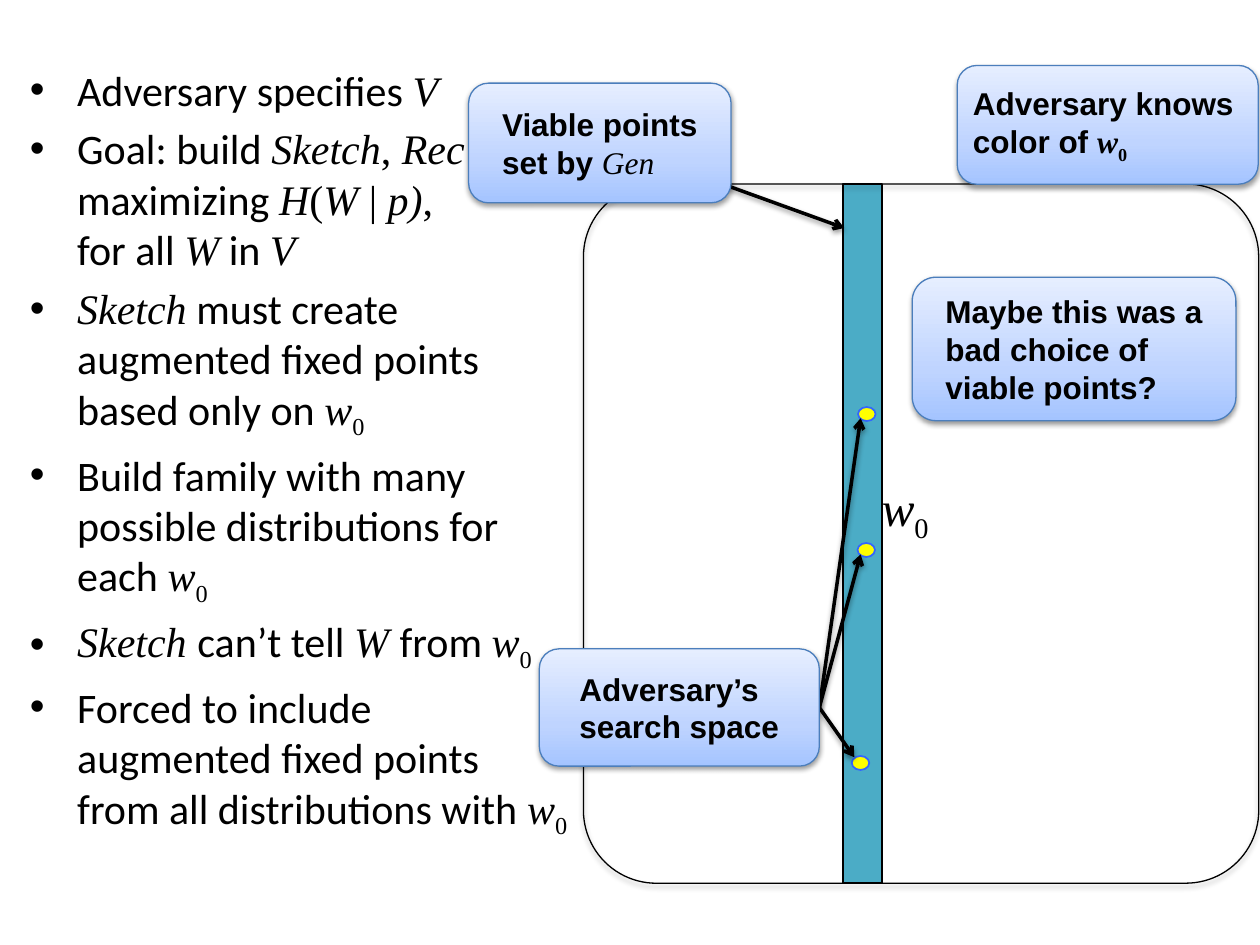
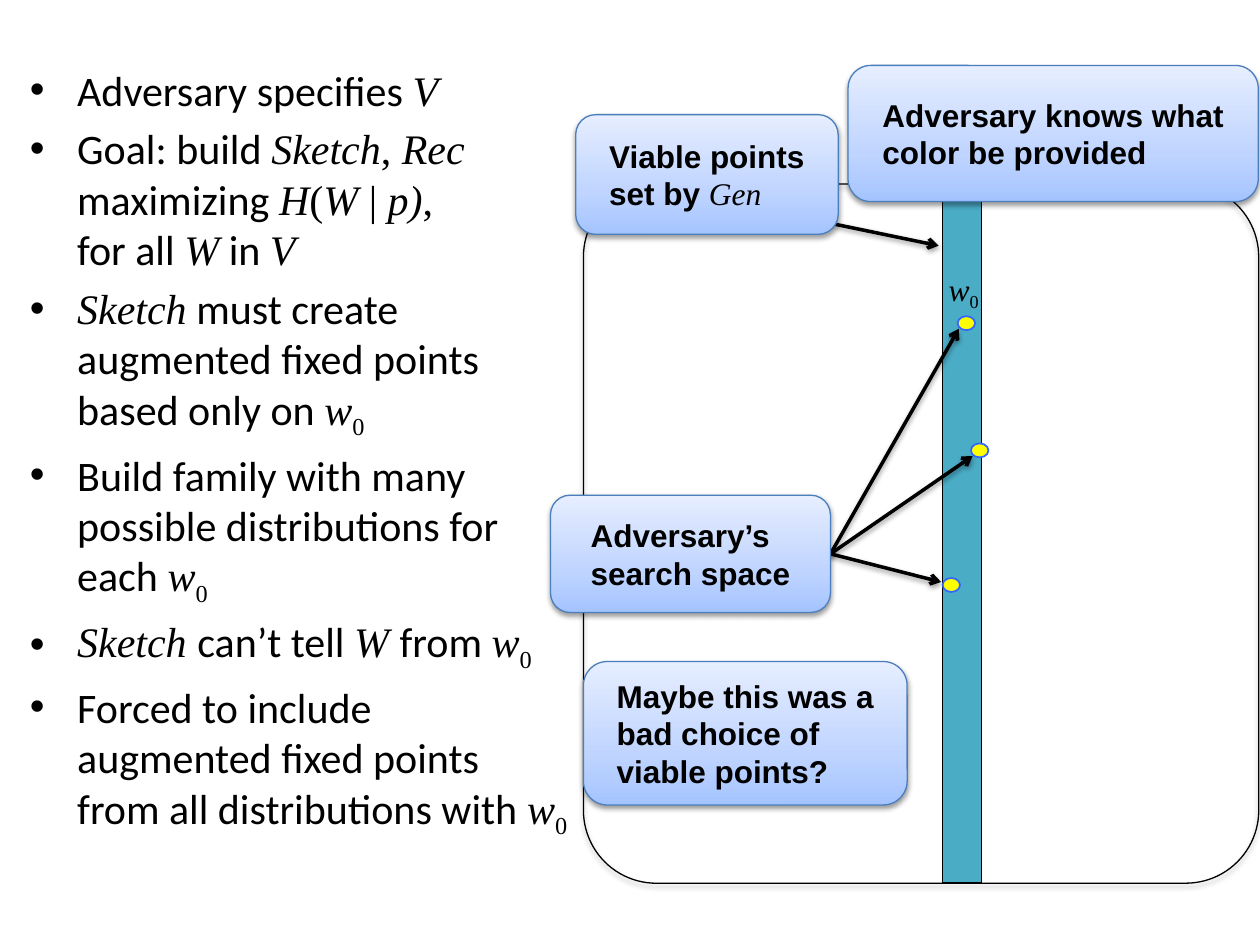
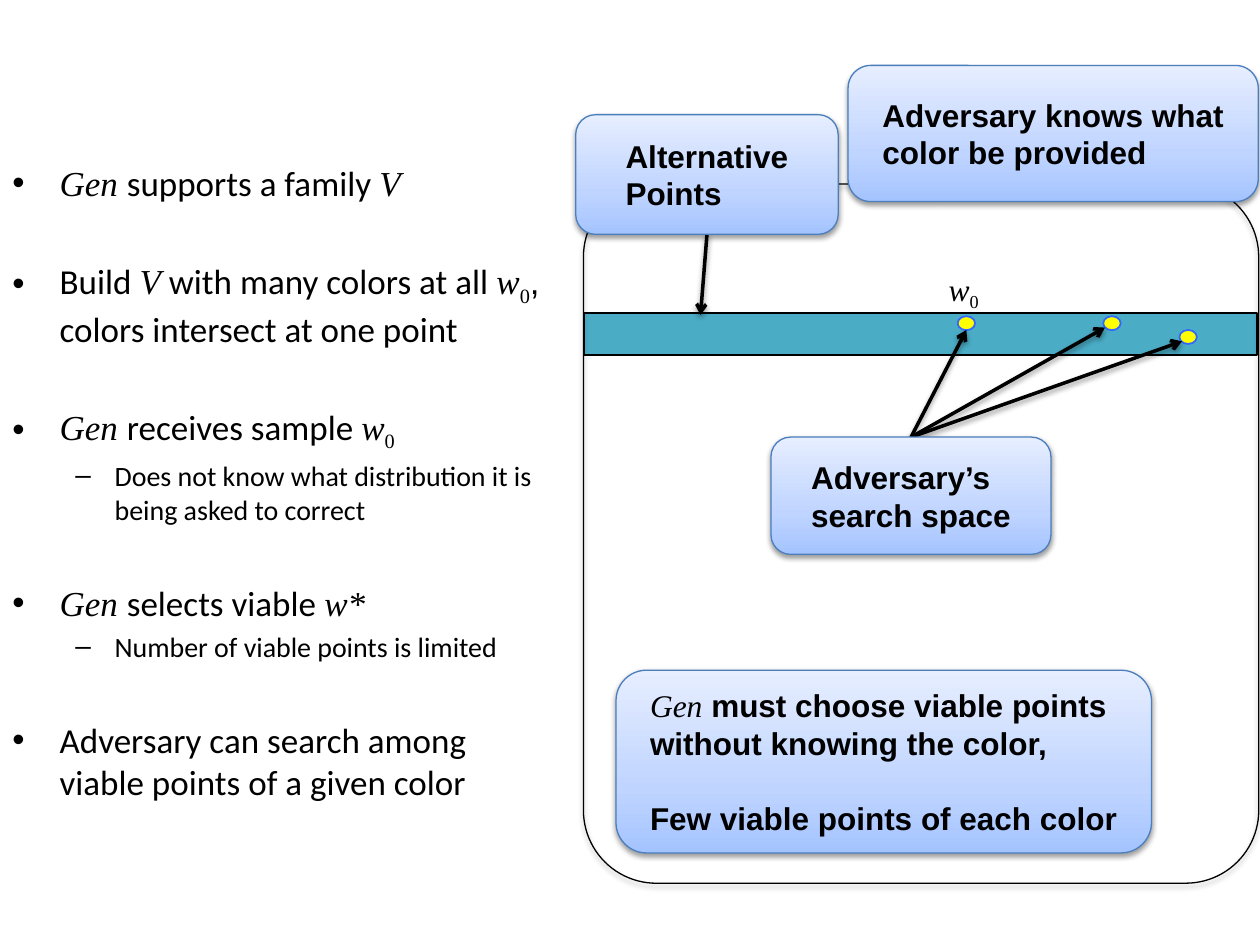
from copy import deepcopy
from dataclasses import dataclass
from typing import NamedTuple

from lxml.etree import SubElement
from pptx import Presentation
from pptx.dml.color import RGBColor
from pptx.enum.shapes import MSO_CONNECTOR as Link, MSO_SHAPE as Preset
from pptx.enum.text import MSO_ANCHOR as Anchor, MSO_AUTO_SIZE as AutoSize
from pptx.oxml.ns import qn
from pptx.util import Pt

BLACK = RGBColor(0x00, 0x00, 0x00)
TEAL = RGBColor(0x4B, 0xAC, 0xC6)
YELLOW = RGBColor(0xFF, 0xFF, 0x00)
DOT_EDGE = RGBColor(0x33, 0x66, 0xFF)
CALLOUT_EDGE = RGBColor(0x4B, 0x7E, 0xBC)
CALLOUT_STOPS = ((0, RGBColor(0xA4, 0xC4, 0xFF)), (0.35, RGBColor(0xBF, 0xD4, 0xFF)),
                 (1, RGBColor(0xE6, 0xEE, 0xFF)))

WORDS = {"name": "Calibri"}
PLAIN = {"name": "Arial"}
BOLD = {"name": "Arial", "bold": True}
ROMAN = {"name": "Times New Roman"}
MATH = {**ROMAN, "italic": True}
BOLD_ROMAN = {**ROMAN, "bold": True}
BOLD_MATH = {**MATH, "bold": True}


class Run(NamedTuple):
    text: str
    style: dict
    subscript: bool = False


class Box(NamedTuple):
    left: float
    top: float
    width: float
    height: float

    def right_middle(self):
        return self.left + self.width, self.top + self.height / 2

    def top_middle(self):
        return self.left + self.width / 2, self.top

    def bottom_middle(self):
        return self.left + self.width / 2, self.top + self.height


class Arrow(NamedTuple):
    start: tuple
    end: tuple


class Callout(NamedTuple):
    box: Box
    paragraphs: list
    gap: float = 0


class Bullet(NamedTuple):
    runs: list
    before: float
    size: float
    level: int = 0


@dataclass
class PointMap:
    """The drawing on the right: a band of viable points with searched dots and callouts."""
    band: Box
    dots: list
    arrows: list
    callouts: list
    sample_box: Box
    sample_size: float
    body_box: Box
    bullets: list


W0 = [Run("w", MATH), Run("0", ROMAN, True)]
BULLET_FORMS = (("•", 27, -27), ("–", 58.5, -22.5))
PANEL = Box(333.4, 105.1, 385.9, 399.6)
DOT_SIZE = (10, 8)


def write_runs(paragraph, runs: list, size: float) -> None:
    for text, style, subscript in runs:
        for number, line in enumerate(text.split("\n")):
            if number:
                paragraph.add_line_break()
            if not line:
                continue
            run = paragraph.add_run()
            run.text = line
            run.font.size = Pt(size)
            run.font.color.rgb = BLACK
            for attribute, value in style.items():
                setattr(run.font, attribute, value)
            if subscript:
                run._r.get_or_add_rPr().set("baseline", "-25000")


def paragraph_at(frame, index: int):
    return frame.add_paragraph() if index else frame.paragraphs[0]


def cast_shadow(shape, opacity: int, distance: float) -> None:
    properties = shape._element.spPr
    effects = properties.find(qn("a:effectLst"))
    if effects is None:
        effects = SubElement(properties, qn("a:effectLst"))
    shadow = SubElement(effects, qn("a:outerShdw"), blurRad=str(Pt(3.1)),
                        dist=str(Pt(distance)), dir="5400000", rotWithShape="0")
    color = SubElement(shadow, qn("a:srgbClr"), val=str(BLACK))
    SubElement(color, qn("a:alpha"), val=str(opacity * 1000))


def draw_shape(slide, preset, box: Box, fill, edge: RGBColor, weight: float):
    shape = slide.shapes.add_shape(preset, *map(Pt, box))
    shape.line.color.rgb = edge
    shape.line.width = Pt(weight)
    shape.shadow.inherit = False
    if fill is None:
        shape.fill.background()
    else:
        shape.fill.solid()
        shape.fill.fore_color.rgb = fill
    return shape


def draw_panel(slide) -> None:
    panel = draw_shape(slide, Preset.ROUNDED_RECTANGLE, PANEL, None, BLACK, 0.75)
    panel.adjustments[0] = 0.108
    cast_shadow(panel, 35, 1.8)


def draw_arrow(slide, arrow: Arrow) -> None:
    line = slide.shapes.add_connector(Link.STRAIGHT, *map(Pt, arrow.start + arrow.end))
    line.line.color.rgb = BLACK
    line.line.width = Pt(2)
    SubElement(line.line._get_or_add_ln(), qn("a:tailEnd"), type="arrow")
    cast_shadow(line, 38, 1.6)


def draw_callout(slide, callout: Callout) -> None:
    shape = draw_shape(slide, Preset.ROUNDED_RECTANGLE, callout.box, None, CALLOUT_EDGE, 0.75)
    shape.fill.gradient()
    shape.fill.gradient_angle = 90
    stop_list = shape._element.spPr.find(".//" + qn("a:gsLst"))
    stop_list.append(deepcopy(stop_list[-1]))
    for stop, (position, color) in zip(shape.fill.gradient_stops, CALLOUT_STOPS):
        stop.position = position
        stop.color.rgb = color
    cast_shadow(shape, 38, 1.6)

    frame = shape.text_frame
    frame.word_wrap = True
    frame.vertical_anchor = Anchor.MIDDLE
    for side in ("left", "right", "top", "bottom"):
        setattr(frame, f"margin_{side}", Pt(3.6))
    frame._txBody.bodyPr.set("anchorCtr", "1")
    for index, runs in enumerate(callout.paragraphs):
        paragraph = paragraph_at(frame, index)
        paragraph._p.get_or_add_pPr().set("algn", "l")
        if index:
            paragraph.space_before = Pt(callout.gap)
        write_runs(paragraph, runs, 18)


def draw_bullets(slide, box: Box, bullets: list) -> None:
    frame = slide.shapes.add_textbox(*map(Pt, box)).text_frame
    frame.word_wrap = True
    for index, bullet in enumerate(bullets):
        mark, margin, indent = BULLET_FORMS[bullet.level]
        paragraph = paragraph_at(frame, index)
        paragraph.level = bullet.level
        properties = paragraph._p.get_or_add_pPr()
        properties.set("marL", str(Pt(margin)))
        properties.set("indent", str(Pt(indent)))
        SubElement(properties, qn("a:buFont"), typeface="Arial")
        SubElement(properties, qn("a:buChar"), char=mark)
        if index:
            paragraph.space_before = Pt(bullet.before)
        write_runs(paragraph, bullet.runs, bullet.size)


def draw_sample_label(slide, box: Box, size: float) -> None:
    frame = slide.shapes.add_textbox(*map(Pt, box)).text_frame
    frame.word_wrap = False
    frame.auto_size = AutoSize.SHAPE_TO_FIT_TEXT
    write_runs(frame.paragraphs[0], W0, size)


def draw_point_map(slide, point_map: PointMap) -> None:
    draw_shape(slide, Preset.RECTANGLE, point_map.band, TEAL, BLACK, 1)
    for corner in point_map.dots:
        draw_shape(slide, Preset.OVAL, Box(*corner, *DOT_SIZE), YELLOW, DOT_EDGE, 1)
    draw_panel(slide)
    for arrow in point_map.arrows:
        draw_arrow(slide, arrow)
    for callout in point_map.callouts:
        draw_callout(slide, callout)
    draw_bullets(slide, point_map.body_box, point_map.bullets)
    draw_sample_label(slide, point_map.sample_box, point_map.sample_size)


def search_arrows(start: tuple, ends: list) -> list:
    return [Arrow(start, end) for end in ends]


def points_callout(left: float, top: float, runs: list) -> Callout:
    return Callout(Box(left, top, 150, 68.4), [runs])


def bad_choice_callout(left: float, top: float) -> Callout:
    return Callout(Box(left, top, 185, 82),
                   [[Run("Maybe this was a bad choice of viable points?", BOLD)]])


def search_callout(left: float, top: float) -> Callout:
    return Callout(Box(left, top, 160, 67), [[Run("Adversary’s search space", BOLD)]])


SET_BY_GEN = [Run("Viable points set by ", BOLD), Run("Gen", MATH)]
KNOWS_COLOR = Callout(Box(484.6, 37.4, 234.4, 77.8),
                      [[Run("Adversary knows what color be provided", BOLD)]])
SKETCH_BOX = Box(10, 33.1, 323.4, 484.6)
SMALL_SAMPLE_BOX = Box(535, 150.5, 35.3, 28.8)

SKETCH_BULLETS = [Bullet(runs, 4.8, 24) for runs in (
    [Run("Adversary specifies ", WORDS), Run("V", MATH)],
    [Run("Goal: build ", WORDS), Run("Sketch", MATH), Run(",", ROMAN), Run(" Rec", MATH),
     Run(" maximizing ", WORDS), Run("H", MATH), Run("(", ROMAN), Run("W", MATH),
     Run(" | ", ROMAN), Run("p)", MATH), Run(", \n", ROMAN), Run("for all ", WORDS),
     Run("W", MATH), Run(" in ", WORDS), Run("V", MATH)],
    [Run("Sketch", MATH),
     Run(" must create augmented fixed points based only on ", WORDS), *W0],
    [Run("Build family with many possible distributions for each ", WORDS), *W0],
    [Run("Sketch ", MATH), Run("can’t tell ", WORDS), Run("W ", MATH),
     Run("from ", WORDS), *W0],
    [Run("Forced to include augmented fixed points from all distributions with ", WORDS), *W0],
)]

GEN_BULLETS = [
    Bullet([Run("Gen ", MATH), Run("supports a family ", WORDS), Run("V", MATH)], 0, 20),
    Bullet([Run("Build ", WORDS), Run("V", MATH), Run(" with many colors at all ", WORDS), *W0,
            Run(",\n", PLAIN), Run("colors intersect at one point", WORDS)], 32, 20),
    Bullet([Run("Gen ", MATH), Run("receives sample ", WORDS), *W0], 32, 20),
    Bullet([Run("Does not know what distribution it is being asked to correct", WORDS)],
           3.2, 16, 1),
    Bullet([Run("Gen ", MATH), Run("selects viable ", WORDS), Run("w*", MATH)], 32, 20),
    Bullet([Run("Number of viable points is limited", WORDS)], 3.2, 16, 1),
    Bullet([Run("Adversary can search among viable points of a given color", WORDS)], 32, 20),
]

LOW_SEARCH = search_callout(308.2, 370.8)
MID_SEARCH = search_callout(314.6, 283)
INNER_SEARCH = search_callout(440.6, 249.8)
ALTERNATIVES = points_callout(329, 65.5, [Run("Alternative Points", BOLD)])

POINT_MAPS = [
    PointMap(
        band=Box(481.7, PANEL.top, 22.3, PANEL.height),
        dots=[(490.3, 232.6), (490, 310.3), (486.7, 432)],
        arrows=[Arrow((414.7, 105.8), (482.4, 130.3)),
                *search_arrows(LOW_SEARCH.box.right_middle(),
                               [(488.2, 432.7), (491.8, 316.8), (491.8, 239)])],
        callouts=[points_callout(267.8, 47.5, SET_BY_GEN),
                  Callout(Box(547, 37.4, 172, 67.9),
                          [[Run("Adversary knows \ncolor of ", BOLD), Run("w", BOLD_MATH),
                            Run("0", BOLD_ROMAN, True)]]),
                  bad_choice_callout(521.3, 158.4), LOW_SEARCH],
        sample_box=Box(496.8, 269.3, 46, 41), sample_size=28,
        body_box=SKETCH_BOX, bullets=SKETCH_BULLETS),
    PointMap(
        band=Box(538.6, PANEL.top, 22.3, PANEL.height),
        dots=[(538.6, 330.3), (554.8, 253.4), (547.2, 180.7)],
        arrows=[Arrow((477.4, 128.2), (536.4, 140.4)),
                *search_arrows(MID_SEARCH.box.right_middle(),
                               [(537.8, 332.6), (555.8, 260.6), (547.9, 187.9)])],
        callouts=[bad_choice_callout(333.4, 378), points_callout(329, 65.5, SET_BY_GEN),
                  KNOWS_COLOR, MID_SEARCH],
        sample_box=SMALL_SAMPLE_BOX, sample_size=18,
        body_box=SKETCH_BOX, bullets=SKETCH_BULLETS),
    PointMap(
        band=Box(333.7, 178.9, 384.5, 23.8),
        dots=[(547.2, 180.7), (673.9, 188.6), (630.4, 180.7)],
        arrows=[Arrow(ALTERNATIVES.box.bottom_middle(), (400.3, 180)),
                *search_arrows(INNER_SEARCH.box.top_middle(),
                               [(675.4, 195.1), (631.4, 187.2), (552.2, 188.6)])],
        callouts=[INNER_SEARCH,
                  Callout(Box(352, 383, 306, 104.4),
                          [[Run("Gen", MATH),
                            Run(" must choose viable points without knowing the color,", BOLD)],
                           [Run("Few viable points of each color", BOLD)]], gap=21.5),
                  KNOWS_COLOR, ALTERNATIVES],
        sample_box=SMALL_SAMPLE_BOX, sample_size=18,
        body_box=Box(0, 88.6, 319.7, 430.6), bullets=GEN_BULLETS),
]


def main() -> None:
    presentation = Presentation()
    presentation.slide_width = Pt(720)
    presentation.slide_height = Pt(540)
    for point_map in POINT_MAPS:
        slide = presentation.slides.add_slide(presentation.slide_layouts[6])
        draw_point_map(slide, point_map)
    presentation.save("out.pptx")


if __name__ == "__main__":
    main()
